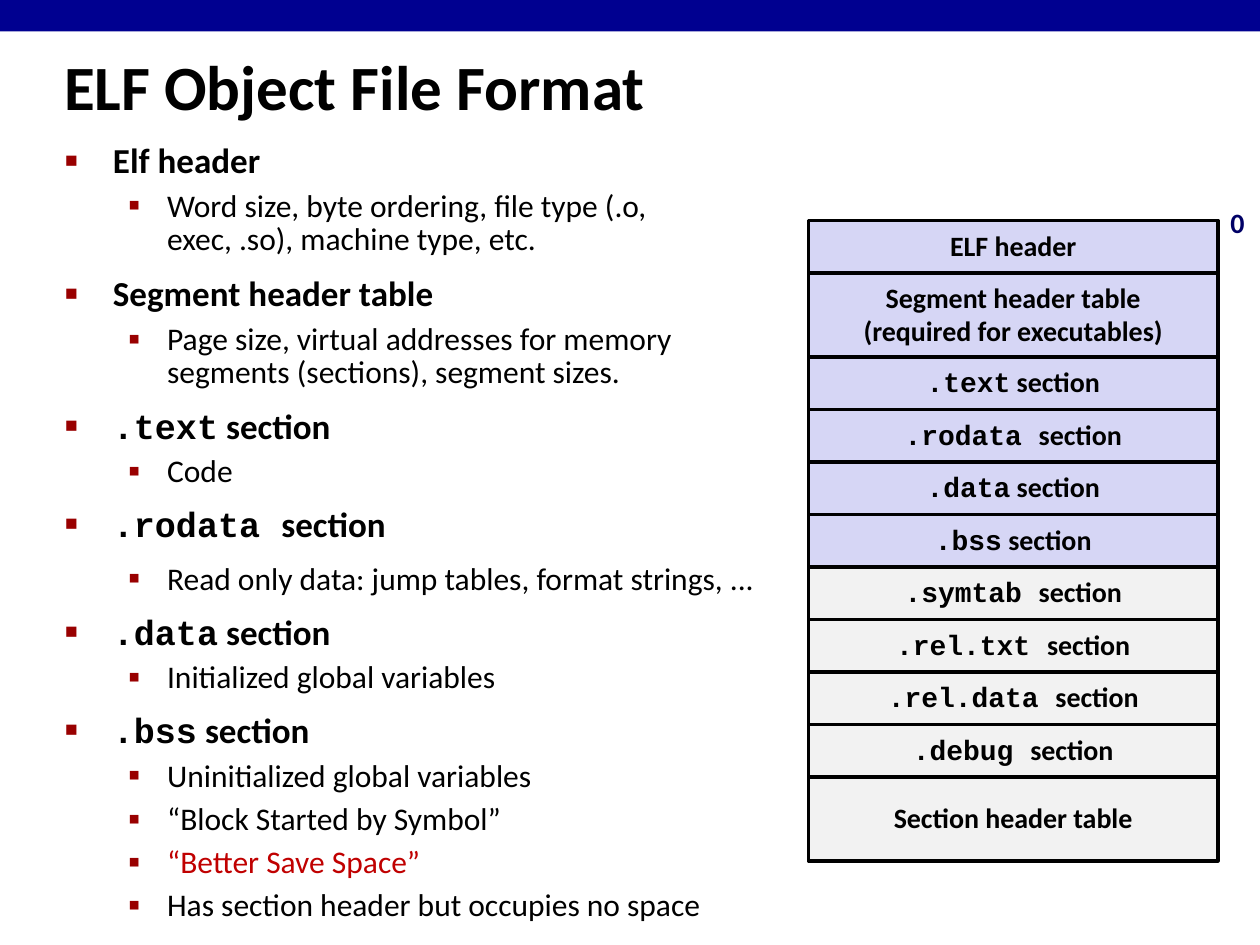
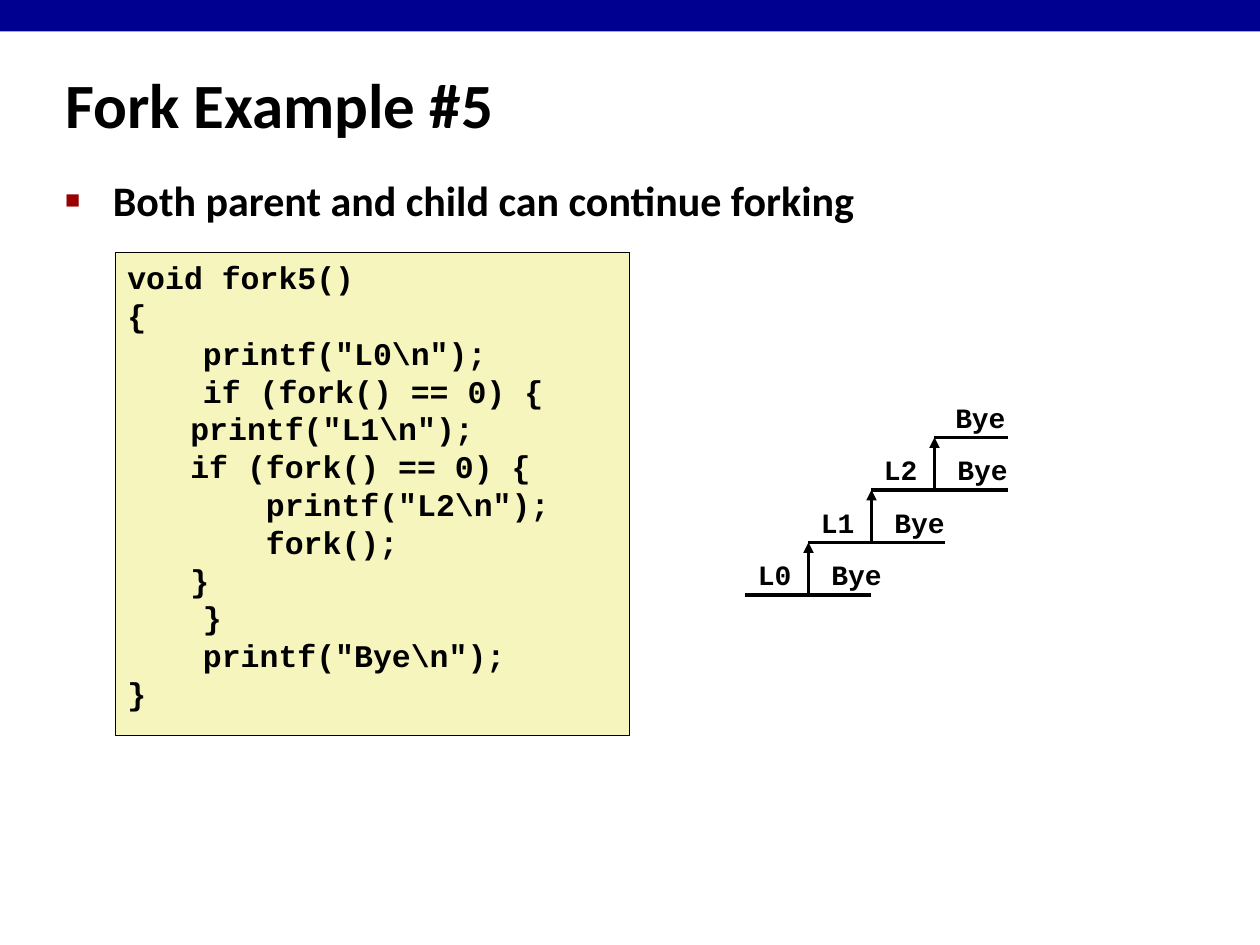
import dataclasses

import lxml.etree
import pptx
import pptx.dml.color
import pptx.enum.shapes
import pptx.enum.text
import pptx.oxml.ns
import pptx.util

COLUMNS, ROWS = 120, 90  # grid over a 10 by 7.5 inch slide
SLIDE_WIDTH, SLIDE_HEIGHT = pptx.util.Inches(10), pptx.util.Inches(7.5)
ALIGN = pptx.enum.text.PP_ALIGN
ANCHOR = pptx.enum.text.MSO_ANCHOR


@dataclasses.dataclass(frozen=True)
class Theme:
    sans: str = "Calibri"
    mono: str = "Courier New"
    band: str = "000090"
    ink: str = "000000"
    bullet: str = "990000"
    accent: str = "C00000"
    offset: str = "000066"
    loaded: str = "D6D6F5"
    unloaded: str = "F2F2F2"
    code_fill: str = "F6F5BD"
    title_size: float = 36
    lead_size: float = 24
    head_size: float = 20
    text_size: float = 18
    label_size: float = 16
    line_width: float = 2
    hairline: float = 0.25


@dataclasses.dataclass(frozen=True)
class BulletStyle:
    symbol: str
    percent: int
    margin: float
    hanging: float


THEME = Theme()
BULLETS = [BulletStyle("■", 60, 0.38, 0.38), BulletStyle("▪", 110, 0.81, 0.31)]

# Each item: level, monospaced part, plain part
ELF_OUTLINE = [
    (0, "", "Elf header"),
    (1, "", "Word size, byte ordering, file type (.o, exec, .so), machine type, etc."),
    (0, "", "Segment header table"),
    (1, "", "Page size, virtual addresses for memory segments (sections), segment sizes."),
    (0, ".text", " section"),
    (1, "", "Code"),
    (0, ".rodata ", "section"),
    (1, "", "Read only data: jump tables, format strings, ..."),
    (0, ".data", " section"),
    (1, "", "Initialized global variables"),
    (0, ".bss", " section"),
    (1, "", "Uninitialized global variables"),
    (1, "", "“Block Started by Symbol”"),
    (1, "", "“Better Save Space”"),
    (1, "", "Has section header but occupies no space"),
]
LOOSE_ITEM = "Read only data: jump tables, format strings, ..."
ACCENT_ITEM = "“Better Save Space”"

# Each part: rows high, fill, lines of (monospaced part, plain part)
ELF_PARTS = [
    (5, THEME.loaded, [("", "ELF header")]),
    (8, THEME.loaded, [("", "Segment header table"), ("", "(required for executables)")]),
    (5, THEME.loaded, [(".text", " section")]),
    (5, THEME.loaded, [(".rodata ", "section")]),
    (5, THEME.loaded, [(".data", " section")]),
    (5, THEME.loaded, [(".bss", " section")]),
    (5, THEME.unloaded, [(".symtab ", "section")]),
    (5, THEME.unloaded, [(".rel.txt ", "section")]),
    (5, THEME.unloaded, [(".rel.data ", "section")]),
    (5, THEME.unloaded, [(".debug ", "section")]),
    (8, THEME.unloaded, [("", "Section header table")]),
]

FORK_CODE = [
    'void fork5()',
    '{',
    '    printf("L0\\n");',
    '    if (fork() == 0) {',
    '\tprintf("L1\\n");',
    '\tif (fork() == 0) {',
    '\t    printf("L2\\n");',
    '\t    fork();',
    '\t}',
    '    }',
    '    printf("Bye\\n");',
    '}',
]


# ---- Grid and text helpers ----
def across(columns):
    return round(SLIDE_WIDTH * columns / COLUMNS)


def down(rows):
    return round(SLIDE_HEIGHT * rows / ROWS)


def grid_box(left, top, width, height):
    return across(left), down(top), across(width), down(height)


def rgb(colour):
    return pptx.dml.color.RGBColor.from_string(colour)


def add_run(paragraph, text, size, font=THEME.sans, colour=THEME.ink, bold=True):
    run = paragraph.add_run()
    run.text = text
    run.font.name, run.font.size, run.font.bold = font, pptx.util.Pt(size), bold
    run.font.color.rgb = rgb(colour)


def add_mixed_runs(paragraph, mono, plain, size, **style):
    for text, font in ((mono, THEME.mono), (plain, THEME.sans)):
        if text:
            add_run(paragraph, text, size, font, **style)


def paragraphs_for(frame, items):
    """Pair each item with a paragraph, starting with the frame's own."""
    for index, item in enumerate(items):
        yield (frame.add_paragraph() if index else frame.paragraphs[0]), item


def add_child(parent, tag, **attributes):
    return lxml.etree.SubElement(parent, pptx.oxml.ns.qn(tag), **attributes)


def set_bullet(paragraph, level):
    style = BULLETS[level]
    paragraph.level = level
    properties = paragraph._p.get_or_add_pPr()
    properties.set("marL", str(pptx.util.Inches(style.margin)))
    properties.set("indent", str(-pptx.util.Inches(style.hanging)))
    add_child(add_child(properties, "a:buClr"), "a:srgbClr", val=THEME.bullet)
    add_child(properties, "a:buSzPct", val=str(style.percent * 1000))
    add_child(properties, "a:buChar", char=style.symbol)


# ---- Shape helpers ----
def add_rectangle(slide, box, fill, line_width=None):
    shape = slide.shapes.add_shape(pptx.enum.shapes.MSO_SHAPE.RECTANGLE, *grid_box(*box))
    shape.shadow.inherit = False
    shape.fill.solid()
    shape.fill.fore_color.rgb = rgb(fill)
    if line_width is None:
        shape.line.fill.background()
    else:
        shape.line.color.rgb = rgb(THEME.ink)
        shape.line.width = pptx.util.Pt(line_width)
    shape.text_frame.word_wrap = False
    return shape


def add_label(slide, box, text, align=ALIGN.LEFT, **style):
    frame = slide.shapes.add_textbox(*grid_box(*box)).text_frame
    frame.word_wrap = False
    frame.paragraphs[0].alignment = align
    add_run(frame.paragraphs[0], text, THEME.label_size, **style)


def add_line(slide, start, end, arrow=False):
    connector = slide.shapes.add_connector(
        pptx.enum.shapes.MSO_CONNECTOR.STRAIGHT,
        across(start[0]), down(start[1]), across(end[0]), down(end[1]))
    connector.line.color.rgb = rgb(THEME.ink)
    connector.line.width = pptx.util.Pt(THEME.line_width)
    if arrow:
        add_child(connector.line._get_or_add_ln(), "a:tailEnd", type="triangle")
    add_child(connector.element.spPr, "a:effectLst")


# ---- Shared slide parts ----
def add_master_band(presentation, slide):
    band = add_rectangle(slide, (0, 0, COLUMNS, 3), THEME.band)
    presentation.slide_master.shapes.element.insert(2, band.element)


def place_placeholder(placeholder, box, anchor):
    placeholder.left, placeholder.top, placeholder.width, placeholder.height = grid_box(*box)
    frame = placeholder.text_frame
    frame.auto_size = pptx.enum.text.MSO_AUTO_SIZE.NONE
    frame.word_wrap = True
    frame.vertical_anchor = anchor
    return frame


def add_titled_slide(presentation, title, title_box):
    slide = presentation.slides.add_slide(presentation.slide_layouts[1])
    paragraph = place_placeholder(slide.shapes.title, title_box, ANCHOR.MIDDLE).paragraphs[0]
    paragraph.alignment = ALIGN.LEFT
    add_run(paragraph, title, THEME.title_size)
    return slide


# ---- Regions of the ELF slide ----
def fill_elf_outline(slide, box):
    frame = place_placeholder(slide.placeholders[1], box, ANCHOR.TOP)
    for index, (paragraph, (level, mono, plain)) in enumerate(paragraphs_for(frame, ELF_OUTLINE)):
        set_bullet(paragraph, level)
        loose = plain == LOOSE_ITEM
        if mono or loose:
            paragraph.line_spacing = 0.8
        else:
            paragraph.line_spacing = 0.88 if level else 0.83
        space = 12.5 if loose or not level else 5.6
        paragraph.space_before = pptx.util.Pt(space if index else 0)
        add_mixed_runs(paragraph, mono, plain,
                       THEME.text_size if level else THEME.head_size,
                       colour=THEME.accent if plain == ACCENT_ITEM else THEME.ink,
                       bold=not level)


def add_elf_layout(slide, left, top, width):
    add_label(slide, (left + width, top - 2, 3.7, 4.4), "0", ALIGN.CENTER, colour=THEME.offset)
    for height, fill, lines in ELF_PARTS:
        part = add_rectangle(slide, (left, top, width, height), fill, THEME.line_width)
        part.text_frame.vertical_anchor = ANCHOR.MIDDLE
        for paragraph, (mono, plain) in paragraphs_for(part.text_frame, lines):
            paragraph.alignment = ALIGN.CENTER
            paragraph.line_spacing = 0.94 if mono else 0.98
            add_mixed_runs(paragraph, mono, plain, THEME.label_size)
        top += height


# ---- Regions of the fork slide ----
def fill_fork_lead(slide, box):
    paragraph = place_placeholder(slide.placeholders[1], box, ANCHOR.TOP).paragraphs[0]
    set_bullet(paragraph, 0)
    paragraph.space_before = pptx.util.Pt(0)
    add_run(paragraph, "Both parent and child can continue forking", THEME.lead_size)


def add_code_box(slide, box):
    frame = add_rectangle(slide, box, THEME.code_fill, THEME.hairline).text_frame
    frame.vertical_anchor = ANCHOR.TOP
    for paragraph, code in paragraphs_for(frame, FORK_CODE):
        paragraph.alignment = ALIGN.LEFT
        add_run(paragraph, code, THEME.text_size, THEME.mono)


def add_process_graph(slide, left, bottom, step=6, rise=5):
    label_lift, label_height = 4.1, 4.4
    forks = ["L0", "L1", "L2"]
    for level, name in enumerate(forks):
        x, y = left + level * step, bottom - level * rise
        fork_x = x + step
        add_line(slide, (x, y), (fork_x, y))
        add_line(slide, (fork_x, y), (fork_x + (7 if level else 6), y))
        add_line(slide, (fork_x, y), (fork_x, y - rise), arrow=True)
        add_label(slide, (x, y - label_lift, 5.6, label_height), name, font=THEME.mono)
        add_label(slide, (fork_x + 1, y - label_lift, 7.2, label_height), "Bye", font=THEME.mono)
    # Last child only prints and exits
    x, y = left + len(forks) * step, bottom - len(forks) * rise
    add_line(slide, (x, y), (x + 7, y))
    add_label(slide, (x + 0.8, y - label_lift, 7.2, label_height), "Bye", font=THEME.mono)


# ---- Slides ----
def build_elf_slide(presentation):
    slide = add_titled_slide(presentation, "ELF Object File Format", (4.9, 3, 114.4, 10.3))
    fill_elf_outline(slide, (5, 13.3, 70.2, 70.7))
    add_elf_layout(slide, left=77, top=21, width=39)
    return slide


def build_fork_slide(presentation):
    slide = add_titled_slide(presentation, "Fork Example #5", (5, 6, 66.8, 7.6))
    fill_fork_lead(slide, (5, 16, 103.7, 10))
    add_code_box(slide, (10.95, 24, 49, 46))
    add_process_graph(slide, left=71, bottom=56.65)


def main():
    presentation = pptx.Presentation()
    presentation.slide_width, presentation.slide_height = SLIDE_WIDTH, SLIDE_HEIGHT
    elf_slide = build_elf_slide(presentation)
    add_master_band(presentation, elf_slide)
    build_fork_slide(presentation)
    presentation.save("out.pptx")


if __name__ == "__main__":
    main()
